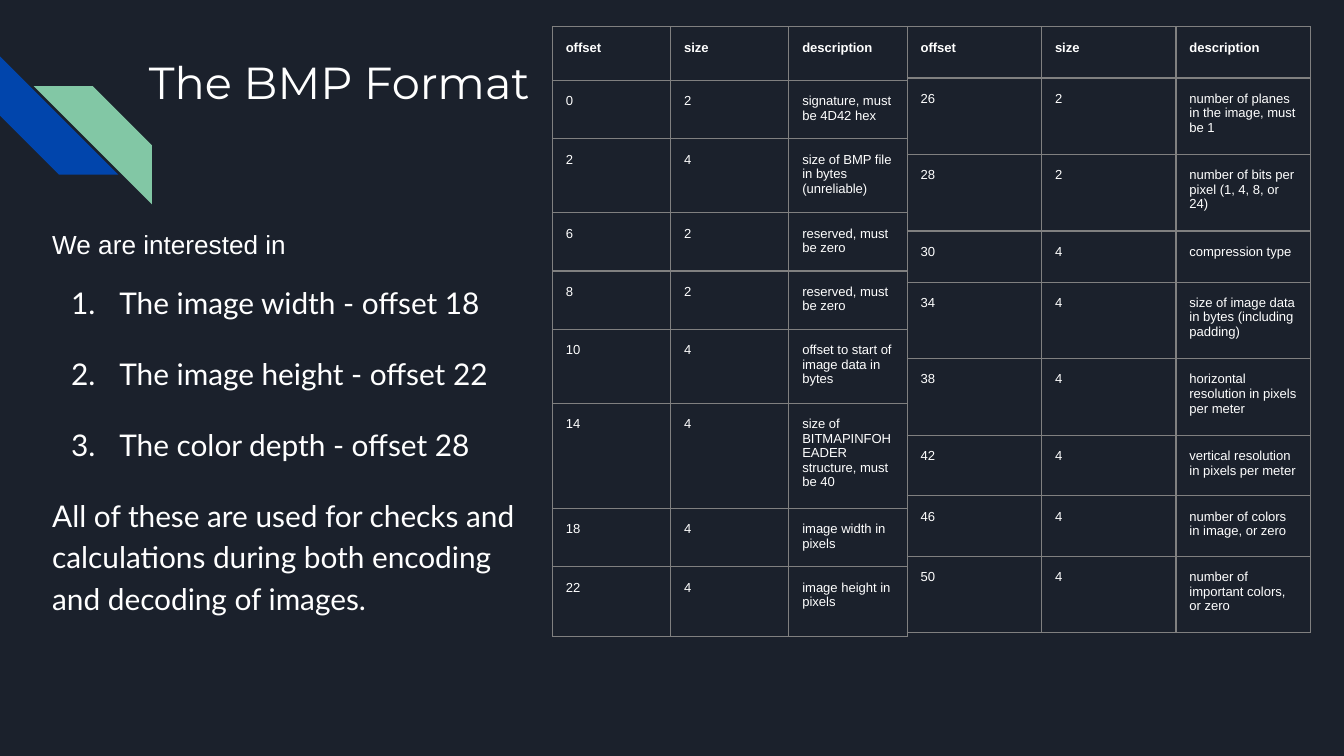
"""Build the slide on the BMP header layout."""
from lxml import etree
from pptx import Presentation
from pptx.dml.color import RGBColor
from pptx.enum import shapes
from pptx.oxml import ns
from pptx.util import Inches, Pt

NIGHT = RGBColor(0x1B, 0x21, 0x2C)
BLUE = RGBColor(0x01, 0x45, 0xAC)
GREEN = RGBColor(0x82, 0xC7, 0xA5)
WHITE = RGBColor(0xFF, 0xFF, 0xFF)
GREY = RGBColor(0x80, 0x80, 0x80)

HEAD = ("offset", "size", "description")
FIRST = [
    HEAD,
    ("0", "2", "signature, must be 4D42 hex"),
    ("2", "4", "size of BMP file in bytes (unreliable)"),
    ("6", "2", "reserved, must be zero"),
    ("8", "2", "reserved, must be zero"),
    ("10", "4", "offset to start of image data in bytes"),
    ("14", "4", "size of BITMAPINFOHEADER structure, must be 40"),
    ("18", "4", "image width in pixels"),
    ("22", "4", "image height in pixels"),
]
SECOND = [
    HEAD,
    ("26", "2", "number of planes in the image, must be 1"),
    ("28", "2", "number of bits per pixel (1, 4, 8, or 24)"),
    ("30", "4", "compression type"),
    ("34", "4", "size of image data in bytes (including padding)"),
    ("38", "4", "horizontal resolution in pixels per meter"),
    ("42", "4", "vertical resolution in pixels per meter"),
    ("46", "4", "number of colors in image, or zero"),
    ("50", "4", "number of important colors, or zero"),
]
GOALS = [
    "The image width - offset 18",
    "The image height - offset 22",
    "The color depth - offset 28",
]
CLOSE = ("All of these are used for checks and calculations "
         "during both encoding and decoding of images.")


def pad(box):
    box.margin_left = box.margin_right = Inches(0.1)
    box.margin_top = box.margin_bottom = Inches(0.1)


def style(para, face, size, bold=False):
    for run in para.runs:
        font = run.font
        font.name, font.size, font.bold = face, Pt(size), bold
        font.color.rgb = WHITE


def add_text(slide, area, lines, face, size):
    frame = slide.shapes.add_textbox(*map(Inches, area)).text_frame
    frame.word_wrap = True
    pad(frame)
    frame.text = "\n".join(lines)
    for para in frame.paragraphs:
        style(para, face, size)
    return frame.paragraphs


def number(para):
    props = para._p.get_or_add_pPr()
    props.set("marL", str(Inches(0.5)))
    props.set("indent", str(Inches(-0.36)))
    tint = etree.Element(ns.qn("a:buClr"))
    etree.SubElement(tint, ns.qn("a:srgbClr"), val=str(WHITE))
    mark = etree.Element(ns.qn("a:buAutoNum"), type="arabicPeriod")
    for part in (tint, mark):
        props.insert_element_before(part, "a:tabLst", "a:defRPr", "a:extLst")


def add_goals(slide):
    paras = add_text(slide, (0.29, 1.98, 3.72, 3.18), GOALS + [CLOSE], "Lato", 16)
    for para in paras:
        para.line_spacing = 1.15
    for para in paras[1:]:
        para.space_before = Pt(16)
    for para in paras[:-1]:
        number(para)
    paras[-1].space_after = Pt(16)


def add_stripe(slide, left, top, turn, color):
    side = Inches(0.88)
    stripe = slide.shapes.add_shape(
        shapes.MSO_SHAPE.DIAGONAL_STRIPE, Inches(left), Inches(top), side, side)
    stripe.shadow.inherit = False
    stripe.rotation = turn
    stripe.fill.solid()
    stripe.fill.fore_color.rgb = color
    stripe.line.fill.background()


def frame_cell(cell):
    props = cell._tc.get_or_add_tcPr()
    for edge in ("lnL", "lnR", "lnT", "lnB"):
        line = etree.SubElement(props, ns.qn("a:" + edge), w=str(Pt(0.75)))
        fill = etree.SubElement(line, ns.qn("a:solidFill"))
        etree.SubElement(fill, ns.qn("a:srgbClr"), val=str(GREY))
    cell.fill.background()


def add_grid(slide, left, width, tall, rows):
    grid = slide.shapes.add_table(
        len(rows), len(HEAD), Inches(left), Inches(0.2),
        Inches(width * len(HEAD)), Inches(sum(tall))).table
    grid.first_row = grid.horz_banding = False
    for col in grid.columns:
        col.width = Inches(width)
    for i, (row, high) in enumerate(zip(rows, tall)):
        grid.rows[i].height = Inches(high)
        for j, word in enumerate(row):
            cell = grid.cell(i, j)
            pad(cell)
            cell.text = word
            style(cell.text_frame.paragraphs[0], "Arial", 7, i == 0)
            frame_cell(cell)


def main():
    deck = Presentation()
    deck.slide_width = Inches(10)
    deck.slide_height = deck.slide_width * 9 // 16
    slide = deck.slides.add_slide(deck.slide_layouts[6])
    slide.background.fill.solid()
    slide.background.fill.fore_color.rgb = NIGHT
    add_stripe(slide, 0, 0.42, 270, BLUE)
    add_stripe(slide, 0.25, 0.64, 90, GREEN)
    add_text(slide, (1.01, 0.31, 7.7, 1), ["The BMP Format"], "Montserrat", 24)
    add_goals(slide)
    add_text(slide, (0.29, 1.6, 3.23, 0.46), ["We are interested in"], "Arial", 14)
    add_grid(slide, 4.11, 0.88, [0.4] * 8 + [0.52], FIRST)
    add_grid(slide, 6.75, 1,
             (0.38, 0.57, 0.57, 0.38, 0.57, 0.57, 0.45, 0.45, 0.57), SECOND)
    deck.save("out.pptx")


if __name__ == "__main__":
    main()
